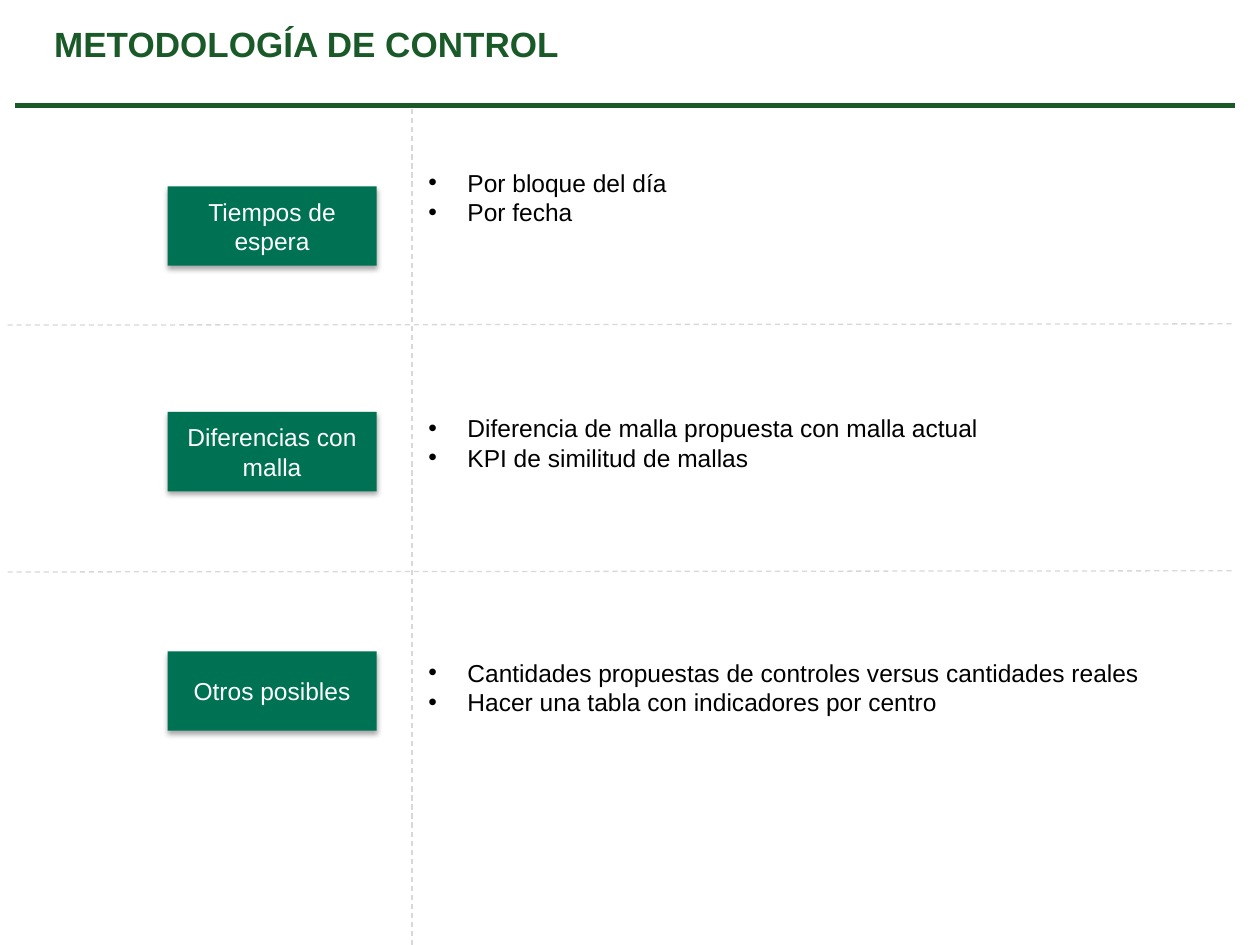
from dataclasses import dataclass

from lxml import etree
from pptx import Presentation
from pptx.dml.color import RGBColor
from pptx.enum.dml import MSO_LINE
from pptx.enum.shapes import MSO_CONNECTOR, MSO_SHAPE
from pptx.enum.text import MSO_ANCHOR, PP_ALIGN
from pptx.oxml import parse_xml
from pptx.oxml.ns import nsdecls, qn
from pptx.util import Inches, Pt

RECTANGLE = MSO_SHAPE.RECTANGLE
STRAIGHT = MSO_CONNECTOR.STRAIGHT
DASH = MSO_LINE.DASH
LEFT, CENTER = PP_ALIGN.LEFT, PP_ALIGN.CENTER
TOP, MIDDLE = MSO_ANCHOR.TOP, MSO_ANCHOR.MIDDLE

FONT = "Arial"
DARK_GREEN, BOX_GREEN = "195A28", "007254"
GREY, BLACK, WHITE = "D8D8D8", "000000", "FFFFFF"
SLIDE_WIDTH, SLIDE_HEIGHT = Inches(10), Inches(7.5)
TITLE_LAYOUT = 5

# Positions are percentages of the slide's width (x) and height (y).
RULE_Y = 11.2
DIVIDER_X = 32.7
RIGHT_EDGE = 98
BOX_X, BOX_WIDTH, BOX_HEIGHT = 13.3, 16.6, 8.4
LIST_X, LIST_WIDTH = 34, 61.5


@dataclass(frozen=True)
class Topic:
    label: str
    items: tuple[str, ...]
    box_y: float
    list_y: float
    list_height: float = 6.27


TOPICS = (
    Topic("Tiempos de espera", ("Por bloque del día", "Por fecha"), 19.73, 17.73),
    Topic(
        "Diferencias con malla",
        ("Diferencia de malla propuesta con malla actual", "KPI de similitud de mallas"),
        43.6, 43.73,
    ),
    Topic(
        "Otros posibles",
        ("Cantidades propuestas de controles versus cantidades reales",
         "Hacer una tabla con indicadores por centro"),
        68.93, 69.6, 12.53,
    ),
)
DIVIDERS_Y = (34.4, 60.53)
DIVIDER_RISE = 0.13


def across(percent: float) -> int:
    return round(SLIDE_WIDTH * percent / 100)


def down(percent: float) -> int:
    return round(SLIDE_HEIGHT * percent / 100)


def area(x: float, y: float, width: float, height: float) -> tuple[int, ...]:
    return across(x), down(y), across(width), down(height)


def color(value: str) -> RGBColor:
    return RGBColor.from_string(value)


def add_bullet(paragraph) -> None:
    properties = paragraph._p.get_or_add_pPr()
    indent = Inches(0.31)
    properties.set("marL", str(indent))
    properties.set("indent", str(-indent))
    etree.SubElement(properties, qn("a:buFont")).set("typeface", FONT)
    etree.SubElement(properties, qn("a:buChar")).set("char", "•")


def write_text(shape, *lines: str, size: float = 14, fill: str = BLACK,
               bold: bool = False, align=LEFT, anchor=TOP, margin: float = 0,
               bullets: bool = False) -> None:
    frame = shape.text_frame
    frame.word_wrap = True
    frame.vertical_anchor = anchor
    frame.margin_left = frame.margin_right = Inches(margin)
    frame.margin_top = frame.margin_bottom = Inches(margin)
    for index, line in enumerate(lines):
        paragraph = frame.add_paragraph() if index else frame.paragraphs[0]
        paragraph.text = line
        paragraph.alignment = align
        if bullets:
            add_bullet(paragraph)
        font = paragraph.font
        font.name, font.size, font.bold = FONT, Pt(size), bold
        font.color.rgb = color(fill)


def add_soft_shadow(shape) -> None:
    shape.shadow.inherit = False
    effects = shape._element.spPr.find(qn("a:effectLst"))
    effects.append(parse_xml(
        f'<a:outerShdw {nsdecls("a")} blurRad="{Pt(3.1)}" dist="{Pt(1.8)}" '
        'dir="5400000" rotWithShape="0">'
        f'<a:srgbClr val="{BLACK}"><a:alpha val="35000"/></a:srgbClr></a:outerShdw>'
    ))


def add_line(slide, start: tuple[float, float], end: tuple[float, float],
             stroke: str = GREY, width: float = 0.75, dash=DASH) -> None:
    line = slide.shapes.add_connector(
        STRAIGHT, across(start[0]), down(start[1]), across(end[0]), down(end[1]))
    line.line.color.rgb = color(stroke)
    line.line.width = Pt(width)
    if dash is not None:
        line.line.dash_style = dash
    etree.SubElement(line._element.spPr, qn("a:effectLst"))


def add_title(slide, text: str) -> None:
    title = slide.shapes.title
    title.left, title.top, title.width, title.height = area(4.3, 2.4, 87.4, 4.53)
    write_text(title, text, size=20, fill=DARK_GREEN, bold=True)


def add_topic(slide, topic: Topic) -> None:
    box = slide.shapes.add_shape(
        RECTANGLE, *area(BOX_X, topic.box_y, BOX_WIDTH, BOX_HEIGHT))
    box.fill.solid()
    box.fill.fore_color.rgb = color(BOX_GREEN)
    box.line.fill.background()
    add_soft_shadow(box)
    write_text(box, topic.label, fill=WHITE, align=CENTER, anchor=MIDDLE, margin=0.04)

    bullet_list = slide.shapes.add_textbox(
        *area(LIST_X, topic.list_y, LIST_WIDTH, topic.list_height))
    write_text(bullet_list, *topic.items, bullets=True)


def main() -> None:
    presentation = Presentation()
    presentation.slide_width, presentation.slide_height = SLIDE_WIDTH, SLIDE_HEIGHT
    slide = presentation.slides.add_slide(presentation.slide_layouts[TITLE_LAYOUT])

    add_title(slide, "METODOLOGÍA DE CONTROL")
    add_line(slide, (1.2, RULE_Y), (RIGHT_EDGE, RULE_Y), DARK_GREEN, 3, None)
    add_line(slide, (DIVIDER_X, 100), (DIVIDER_X, RULE_Y))
    for y in DIVIDERS_Y:
        add_line(slide, (0.6, y), (RIGHT_EDGE, y - DIVIDER_RISE))
    for topic in TOPICS:
        add_topic(slide, topic)

    presentation.save("out.pptx")


if __name__ == "__main__":
    main()
